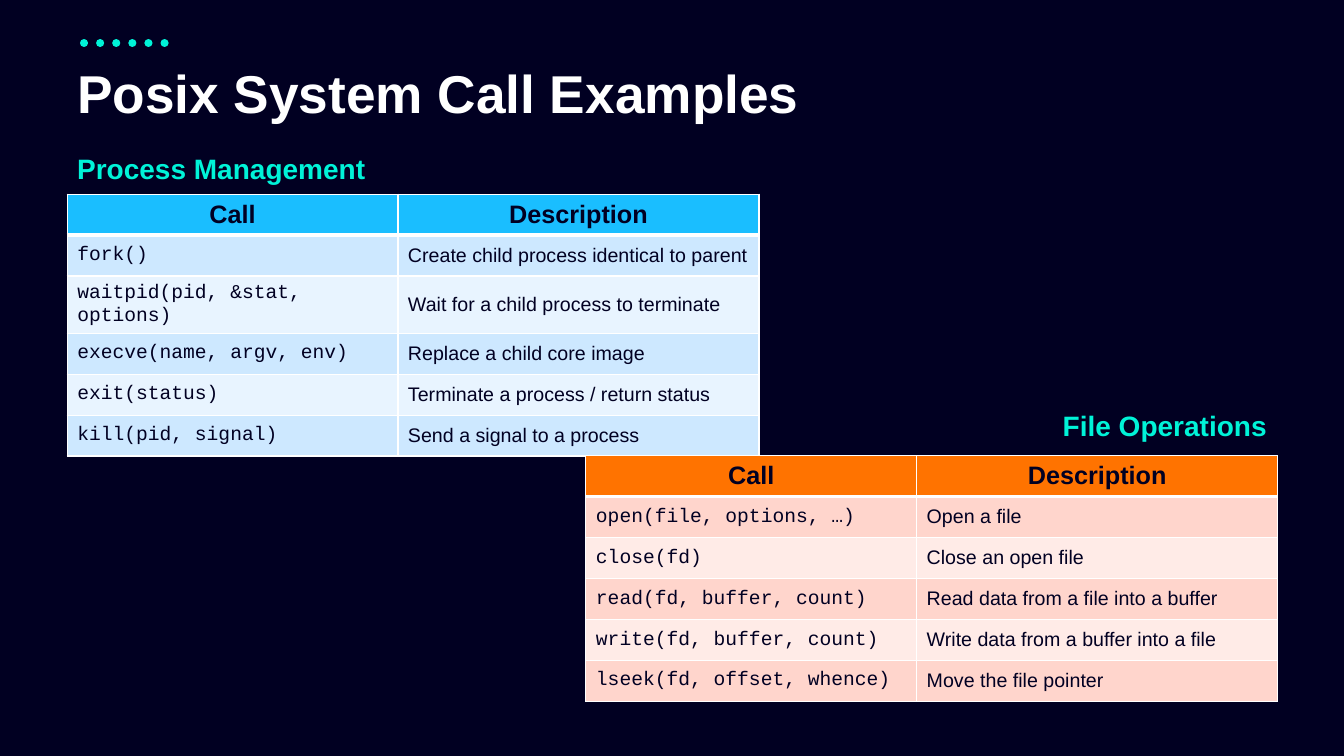
from dataclasses import dataclass

from lxml import etree
from pptx import Presentation
from pptx import util as u
from pptx.dml.color import RGBColor
from pptx.enum import dml, shapes, text
from pptx.oxml import ns

EMU_PER_PX = 9525
NAVY, AQUA, WHITE = "010022", "00F3D8", "FFFFFF"
COLUMN_WIDTHS = (315, 344)
ROW_HEIGHT = 39
HEADERS = ("Call", "Description")
BODY_FONTS = ("Courier New", "Arial")


@dataclass
class Label:
    words: str
    left: int
    top: int
    width: int
    height: int
    size: int
    colour: str
    align: text.PP_ALIGN = text.PP_ALIGN.LEFT
    wrap: bool = False
    spacing: float = 1.0


@dataclass
class CallTable:
    left: int
    top: int
    header_fill: str
    band_fills: tuple[str, str]
    calls: tuple[tuple[str, str], ...]


LABELS = (
    Label("Posix System Call Examples", 64, 59, 1129, 65, 38, WHITE, wrap=True, spacing=0.9),
    Label("Process Management", 64, 139, 297, 42, 20, AQUA),
    Label("File Operations", 1001, 384, 215, 42, 20, AQUA, text.PP_ALIGN.RIGHT),
)

TABLES = (
    CallTable(64, 185, "1ABEFF", ("CDE8FF", "E8F4FF"), (
        ("fork()", "Create child process identical to parent"),
        ("waitpid(pid, &stat, options)", "Wait for a child process to terminate"),
        ("execve(name, argv, env)", "Replace a child core image"),
        ("exit(status)", "Terminate a process / return status"),
        ("kill(pid, signal)", "Send a signal to a process"),
    )),
    CallTable(558, 434, "FF7300", ("FFD5CC", "FFEBE7"), (
        ("open(file, options, …)", "Open a file"),
        ("close(fd)", "Close an open file"),
        ("read(fd, buffer, count)", "Read data from a file into a buffer"),
        ("write(fd, buffer, count)", "Write data from a buffer into a file"),
        ("lseek(fd, offset, whence)", "Move the file pointer"),
    )),
)


def px(length: int) -> u.Emu:
    return u.Emu(length * EMU_PER_PX)


def paint(colour_format, colour: str) -> None:
    colour_format.rgb = RGBColor.from_string(colour)


def set_font(paragraph, name: str, size: int, colour: str, bold: bool) -> None:
    font = paragraph.font
    font.name, font.size, font.bold = name, u.Pt(size), bold
    paint(font.color, colour)


def draw_label(page, label: Label) -> None:
    box = page.shapes.add_textbox(px(label.left), px(label.top), px(label.width), px(label.height))
    frame = box.text_frame
    frame.word_wrap = label.wrap
    frame.vertical_anchor = text.MSO_ANCHOR.MIDDLE
    paragraph = frame.paragraphs[0]
    paragraph.text = label.words
    paragraph.alignment = label.align
    paragraph.line_spacing = label.spacing
    set_font(paragraph, "Arial", label.size, label.colour, True)


def draw_dots(page) -> None:
    dots = page.shapes.add_connector(shapes.MSO_CONNECTOR.STRAIGHT, px(80), px(41), px(160), px(41))
    dots.line.width = u.Pt(5.75)
    paint(dots.line.color, AQUA) if dots.line.fill.solid() is None else None
    dots.line.dash_style = dml.MSO_LINE.ROUND_DOT
    properties = dots.element.spPr
    properties.find(ns.qn("a:ln")).set("cap", "rnd")
    etree.SubElement(properties, ns.qn("a:effectLst"))


def set_borders(cell, top: int, bottom: int) -> None:
    properties = cell._tc.get_or_add_tcPr()
    for side, points in (("L", 1), ("R", 1), ("T", top), ("B", bottom)):
        border = etree.SubElement(properties, ns.qn(f"a:ln{side}"), w=str(u.Pt(points)))
        fill = etree.SubElement(border, ns.qn("a:solidFill"))
        etree.SubElement(fill, ns.qn("a:srgbClr"), val=WHITE)


def draw_table(page, calls: CallTable) -> None:
    rows = (HEADERS, *calls.calls)
    table = page.shapes.add_table(
        len(rows), len(HEADERS), px(calls.left), px(calls.top),
        px(sum(COLUMN_WIDTHS)), px(ROW_HEIGHT * len(rows)),
    ).table
    table.horz_banding = False
    for column, width in zip(table.columns, COLUMN_WIDTHS):
        column.width = px(width)
    for row_index, words in enumerate(rows):
        table.rows[row_index].height = px(ROW_HEIGHT)
        is_header = row_index == 0
        fill = calls.header_fill if is_header else calls.band_fills[(row_index - 1) % 2]
        for column_index, word in enumerate(words):
            cell = table.cell(row_index, column_index)
            set_borders(cell, 3 if row_index == 1 else 1, 3 if is_header else 1)
            cell.fill.solid()
            paint(cell.fill.fore_color, fill)
            cell.vertical_anchor = text.MSO_ANCHOR.MIDDLE
            paragraph = cell.text_frame.paragraphs[0]
            paragraph.text = word
            paragraph.alignment = text.PP_ALIGN.CENTER if is_header else text.PP_ALIGN.LEFT
            name = "Arial" if is_header else BODY_FONTS[column_index]
            set_font(paragraph, name, 18 if is_header else 14, NAVY, is_header)


def main() -> None:
    deck = Presentation()
    deck.slide_width, deck.slide_height = px(1280), px(720)
    page = deck.slides.add_slide(deck.slide_layouts[6])
    page.background.fill.solid()
    paint(page.background.fill.fore_color, NAVY)
    draw_dots(page)
    for label in LABELS:
        draw_label(page, label)
    for calls in TABLES:
        draw_table(page, calls)
    deck.save("out.pptx")


if __name__ == "__main__":
    main()
